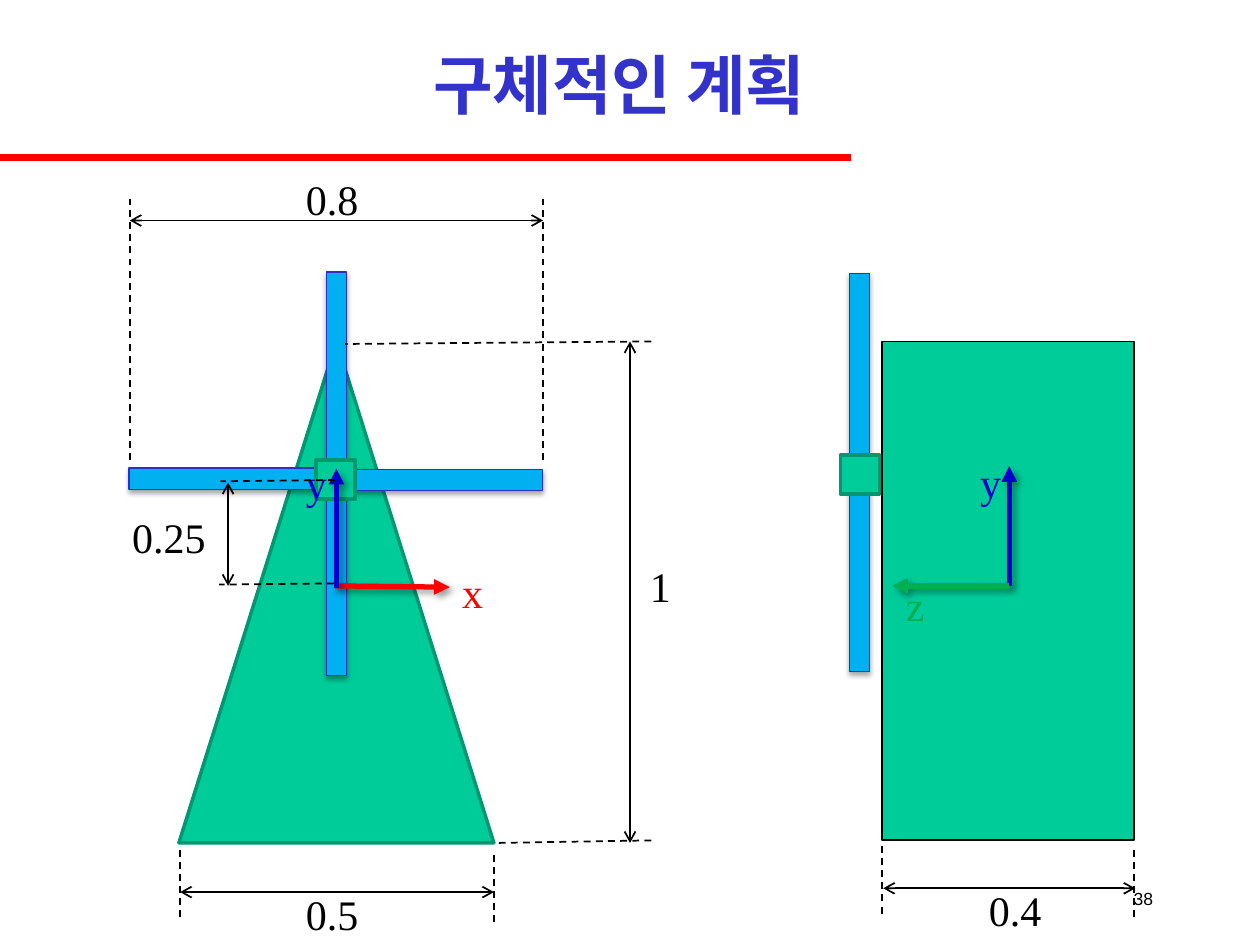
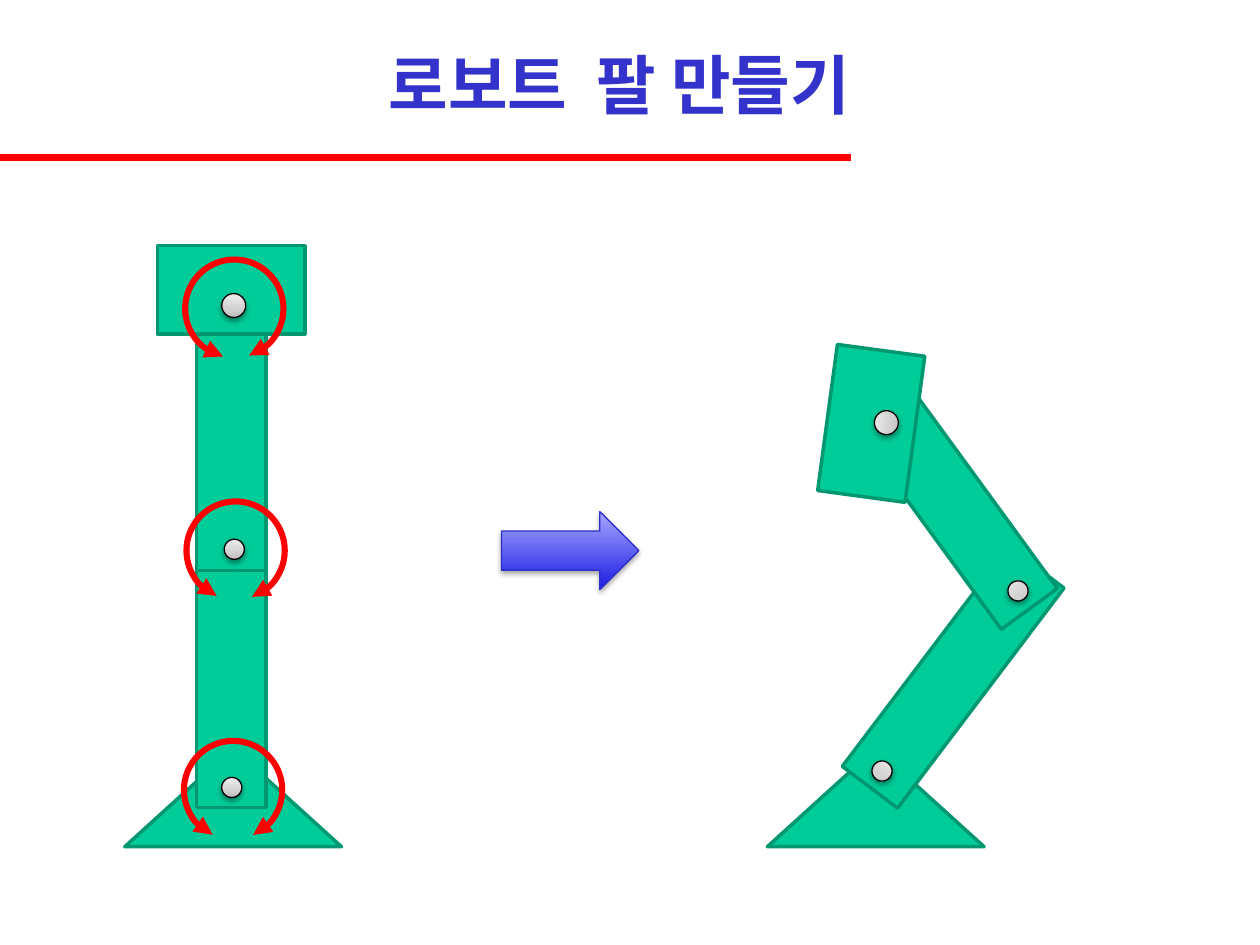
from dataclasses import dataclass
from typing import NamedTuple

from lxml.etree import SubElement
from pptx import Presentation
from pptx.dml.color import RGBColor
from pptx.enum.dml import MSO_LINE
from pptx.enum.shapes import MSO_CONNECTOR, MSO_SHAPE
from pptx.enum.text import MSO_ANCHOR, MSO_AUTO_SIZE, PP_ALIGN
from pptx.oxml.ns import qn
from pptx.util import Pt

PX = 9144  # 100 px to the inch

BLACK = RGBColor(0x00, 0x00, 0x00)
RED = RGBColor(0xFF, 0x00, 0x00)
TITLE_BLUE = RGBColor(0x33, 0x33, 0xCC)
AXIS_BLUE = RGBColor(0x00, 0x00, 0xCC)
AXIS_GREEN = RGBColor(0x00, 0xB0, 0x50)
BODY_GREEN = RGBColor(0x00, 0xCC, 0x99)
EDGE_GREEN = RGBColor(0x00, 0x97, 0x71)
BLADE_BLUE = RGBColor(0x00, 0xB0, 0xF0)
EDGE_BLUE = RGBColor(0x2E, 0x2E, 0xCB)


class Box(NamedTuple):
    x: int
    y: int
    w: int
    h: int
    rot: float = 0


class Segment(NamedTuple):
    x1: int
    y1: int
    x2: int
    y2: int


class Shadow(NamedTuple):
    alpha: int
    blur: float
    dist: float
    angle: int


class Stop(NamedTuple):
    percent: int
    color: RGBColor


@dataclass(frozen=True)
class Style:
    fill: RGBColor | tuple[Stop, ...] | None
    line: RGBColor
    width: float
    shadow: Shadow | None = None


class Axis(NamedTuple):
    segment: Segment
    color: RGBColor
    name: str
    label: Box


class Dimension(NamedTuple):
    segment: Segment
    value: str
    label: Box


SOFT_SHADOW = Shadow(35, 3.1, 1.8, 90)
PIN_SHADOW = Shadow(38, 3.1, 1.6, 90)
AXIS_SHADOW = Shadow(40, 4, 3, 45)

STEEL = (Stop(0, RGBColor(0xBD, 0xBD, 0xBD)), Stop(35, RGBColor(0xD1, 0xD1, 0xD1)),
         Stop(100, RGBColor(0xEE, 0xEE, 0xEE)))
ARROW_BLUE = (Stop(0, RGBColor(0x1C, 0x1C, 0xE3)), Stop(100, RGBColor(0xA7, 0xA7, 0xFF)))

BODY = Style(BODY_GREEN, EDGE_GREEN, 2)
SIDE_BODY = Style(BODY_GREEN, BLACK, 1)
BLADE = Style(BLADE_BLUE, EDGE_BLUE, 0.75, SOFT_SHADOW)
PIN = Style(STEEL, BLACK, 0.75, PIN_SHADOW)
STEP_ARROW = Style(ARROW_BLUE, EDGE_BLUE, 0.75, SOFT_SHADOW)
TURN = Style(None, RED, 3.5)

# Windmill
FRONT_BLADES = (Box(259, 216, 16, 156), Box(259, 380, 16, 156),
                Box(172, 302, 17, 156, 270), Box(344, 303, 17, 156, 270))
SIDE_BLADES = (Box(674, 217, 16, 156), Box(674, 377, 16, 156))

DIMENSIONS = (
    Dimension(Segment(500, 271, 500, 669), "1", Box(506, 440, 37, 51)),
    Dimension(Segment(143, 708, 392, 708), "0.5", Box(233, 700, 62, 51)),
    Dimension(Segment(103, 175, 431, 175), "0.8", Box(233, 133, 62, 51)),
    Dimension(Segment(181, 465, 181, 383), "0.25", Box(95, 401, 79, 51)),
    Dimension(Segment(701, 705, 901, 705), "0.4", Box(775, 697, 62, 50)),
)
GUIDES = (
    Segment(103, 365, 103, 158), Segment(431, 365, 431, 158),
    Segment(392, 732, 392, 675), Segment(143, 728, 143, 672),
    Segment(517, 271, 274, 273), Segment(517, 667, 396, 669),
    Segment(266, 381, 175, 382), Segment(265, 463, 174, 464),
    Segment(900, 728, 900, 672), Segment(700, 725, 700, 669),
)
AXES = (
    Axis(Segment(266, 465, 357, 466), RED, "x", Box(357, 445, 37, 51)),
    Axis(Segment(267, 467, 267, 372), AXIS_BLUE, "y", Box(233, 358, 37, 51)),
    Axis(Segment(801, 465, 801, 370), AXIS_BLUE, "y", Box(768, 357, 37, 51)),
    Axis(Segment(801, 465, 708, 465), AXIS_GREEN, "z", Box(709, 455, 35, 51)),
)

# Robot arm
BASES = (Box(609, 594, 172, 78), Box(99, 594, 172, 78))
STRAIGHT_LINKS = (Box(156, 422, 55, 219), Box(156, 258, 55, 195), Box(125, 195, 117, 70))
STRAIGHT_PINS = (Box(178, 428, 16, 16), Box(176, 233, 19, 19), Box(176, 617, 16, 16))
BENT_PARTS = (  # link and its pin
    (Box(729, 428, 55, 219, 37.1), Box(692, 604, 16, 16, 37.1)),
    (Box(732, 307, 55, 195, 323.9), Box(800, 461, 16, 16, 323.9)),
    (Box(633, 301, 117, 70, 277.7), Box(694, 326, 19, 19, 277.7)),
)
TURNS = (  # arc with its start and end angles in degrees
    (Box(146, 588, 78, 78), 114.61, 65.91),
    (Box(148, 398, 78, 78), 112.63, 70.6),
    (Box(147, 206, 78, 78), 103.29, 72.53),
)


def add_color(parent, color: RGBColor):
    return SubElement(parent, qn("a:srgbClr"), val=str(color))


def add_shadow(effects, shadow: Shadow) -> None:
    outer = SubElement(effects, qn("a:outerShdw"), blurRad=str(Pt(shadow.blur)),
                       dist=str(Pt(shadow.dist)), dir=str(shadow.angle * 60000),
                       rotWithShape="0")
    SubElement(add_color(outer, BLACK), qn("a:alpha"), val=str(shadow.alpha * 1000))


def set_gradient(sp, stops: tuple[Stop, ...]) -> None:
    """Fill with the stops running from bottom to top."""
    sp.fill.gradient()
    sp.fill.gradient_angle = 90
    stop_list = sp._element.spPr.find(".//" + qn("a:gsLst"))
    for old in list(stop_list):
        stop_list.remove(old)
    for stop in stops:
        gs = SubElement(stop_list, qn("a:gs"), pos=str(stop.percent * 1000))
        add_color(gs, stop.color)


def set_arrowheads(sp, head: str | None, tail: str | None) -> None:
    ln = sp._element.spPr.find(qn("a:ln"))
    for tag, kind in (("a:headEnd", head), ("a:tailEnd", tail)):
        if kind:
            SubElement(ln, qn(tag), type=kind)


def add_figure(slide, kind: MSO_SHAPE, box: Box, style: Style):
    sp = slide.shapes.add_shape(kind, *(v * PX for v in box[:4]))
    sp.rotation = box.rot
    if style.fill is None:
        sp.fill.background()
    elif isinstance(style.fill, RGBColor):
        sp.fill.solid()
        sp.fill.fore_color.rgb = style.fill
    else:
        set_gradient(sp, style.fill)
    sp.line.color.rgb = style.line
    sp.line.width = Pt(style.width)
    sp.shadow.inherit = False
    if style.shadow:
        add_shadow(sp._element.spPr.find(qn("a:effectLst")), style.shadow)
    return sp


def add_line(slide, segment: Segment, color: RGBColor = BLACK, width: float = 1,
             dashed: bool = False, head: str | None = None, tail: str | None = None,
             shadow: Shadow | None = None) -> None:
    sp = slide.shapes.add_connector(MSO_CONNECTOR.STRAIGHT, *(v * PX for v in segment))
    sp.line.color.rgb = color
    sp.line.width = Pt(width)
    if dashed:
        sp.line.dash_style = MSO_LINE.DASH
    set_arrowheads(sp, head, tail)
    effects = SubElement(sp._element.spPr, qn("a:effectLst"))
    if shadow:
        add_shadow(effects, shadow)


def add_text(slide, text: str, box: Box, *, size: int = 24, font: str = "Times New Roman",
             color: RGBColor = BLACK, bold: bool = False, align: PP_ALIGN = PP_ALIGN.LEFT,
             anchor: MSO_ANCHOR = MSO_ANCHOR.TOP, wrap: bool = False,
             grow: bool = True) -> None:
    tf = slide.shapes.add_textbox(*(v * PX for v in box[:4])).text_frame
    tf.word_wrap = wrap
    tf.auto_size = MSO_AUTO_SIZE.SHAPE_TO_FIT_TEXT if grow else MSO_AUTO_SIZE.NONE
    tf.vertical_anchor = anchor
    p = tf.paragraphs[0]
    p.alignment = align
    r = p.add_run()
    r.text = text
    r.font.size = Pt(size)
    r.font.name = font
    r.font.bold = bold
    r.font.color.rgb = color


def add_titled_slide(prs, title: str):
    slide = prs.slides.add_slide(prs.slide_layouts[6])
    add_line(slide, Segment(0, 125, 675, 125), RED, 4)
    add_text(slide, title, Box(0, 8, 983, 117), size=37, font="Arial", color=TITLE_BLUE,
             bold=True, align=PP_ALIGN.CENTER, anchor=MSO_ANCHOR.MIDDLE, wrap=True, grow=False)
    return slide


def build_windmill_plan(prs) -> None:
    slide = add_titled_slide(prs, "구체적인 계획")
    add_text(slide, "38", Box(883, 692, 42, 42), size=10, font="Arial",
             align=PP_ALIGN.RIGHT, anchor=MSO_ANCHOR.MIDDLE, grow=False)
    views = (
        (MSO_SHAPE.ISOSCELES_TRIANGLE, Box(142, 271, 250, 398), BODY,
         FRONT_BLADES, Box(251, 365, 31, 31)),
        (MSO_SHAPE.RECTANGLE, Box(700, 271, 200, 396), SIDE_BODY,
         SIDE_BLADES, Box(667, 361, 31, 31)),
    )
    for kind, body, style, blades, hub in views:
        add_figure(slide, kind, body, style)
        for blade in blades:
            add_figure(slide, MSO_SHAPE.RECTANGLE, blade, BLADE)
        add_figure(slide, MSO_SHAPE.RECTANGLE, hub, BODY)
    for axis in AXES:
        add_line(slide, axis.segment, axis.color, 3, tail="triangle", shadow=AXIS_SHADOW)
        add_text(slide, axis.name, axis.label, color=axis.color)
    for dimension in DIMENSIONS:
        add_line(slide, dimension.segment, head="arrow", tail="arrow")
        add_text(slide, dimension.value, dimension.label)
    for guide in GUIDES:
        add_line(slide, guide, dashed=True)


def build_robot_arm(prs) -> None:
    slide = add_titled_slide(prs, "로보트  팔 만들기")
    for base in BASES:
        add_figure(slide, MSO_SHAPE.ISOSCELES_TRIANGLE, base, BODY)
    for link in STRAIGHT_LINKS:
        add_figure(slide, MSO_SHAPE.RECTANGLE, link, BODY)
    for pin in STRAIGHT_PINS:
        add_figure(slide, MSO_SHAPE.OVAL, pin, PIN)
    add_figure(slide, MSO_SHAPE.RIGHT_ARROW, Box(398, 406, 109, 62), STEP_ARROW)
    for link, pin in BENT_PARTS:
        add_figure(slide, MSO_SHAPE.RECTANGLE, link, BODY)
        add_figure(slide, MSO_SHAPE.OVAL, pin, PIN)
    for box, start, end in TURNS:
        arc = add_figure(slide, MSO_SHAPE.ARC, box, TURN)
        for i, degrees in enumerate((start, end)):
            arc.adjustments[i] = degrees * 0.6
        set_arrowheads(arc, "triangle", "triangle")


def main() -> None:
    prs = Presentation()
    prs.slide_width, prs.slide_height = 1000 * PX, 750 * PX
    build_windmill_plan(prs)
    build_robot_arm(prs)
    prs.save("out.pptx")


if __name__ == "__main__":
    main()
